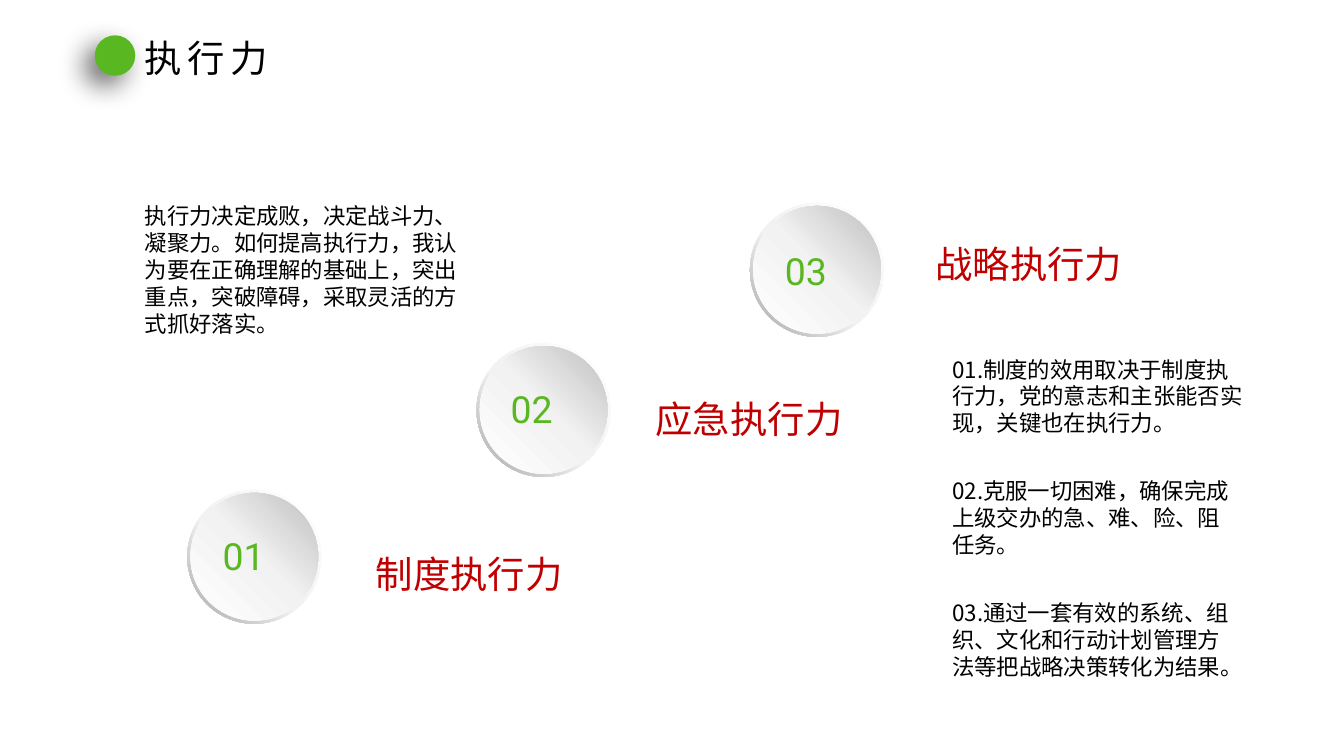
from lxml import etree
from pptx import Presentation
from pptx.dml.color import RGBColor
from pptx.enum.shapes import MSO_SHAPE
from pptx.enum.text import MSO_AUTO_SIZE
from pptx.oxml import parse_xml
from pptx.oxml.ns import nsdecls, qn
from pptx.util import Cm, Pt

COLORS = {"green": "59B721", "red": "C00000", "black": "000000"}
CJK_FONT, NUMBER_FONT = "Noto Sans CJK SC", "Roboto"
RING_STOPS = [(0, "FFFFFF"), (55, "F2F2F2"), (100, "A6A6A6")]
DISC_STOPS = [(0, "FFFFFF"), (51, "F2F2F2"), (100, "BFBFBF")]

TITLE = "执行力"
INTRO = [
    "执行力决定成败，决定战斗力、",
    "凝聚力。如何提高执行力，我认",
    "为要在正确理解的基础上，突出",
    "重点，突破障碍，采取灵活的方",
    "式抓好落实。",
]
# Width in cm, lines
NOTES = [
    (7.92, ["01.制度的效用取决于制度执", "行力，党的意志和主张能否实", "现，关键也在执行力。"]),
    (7.65, ["02.克服一切困难，确保完成", "上级交办的急、难、险、阻", "任务。"]),
    (7.92, ["03.通过一套有效的系统、组", "织、文化和行动计划管理方", "法等把战略决策转化为结果。"]),
]
# Number, label, badge corner in cm, number corner in cm
STEPS = [
    ("01", "制度执行力", (4.72, 12.34), (5.36, 13.31)),
    ("02", "应急执行力", (12.01, 8.64), (12.62, 9.6)),
    ("03", "战略执行力", (18.9, 5.11), (19.53, 6.12)),
]
LABEL_START, LABEL_STEP = (9.22, 13.77), (7.05, -3.91)
NOTE_LEFT, NOTE_TOP, NOTE_STEP, NOTE_HEIGHT = 23.75, 8.84, 3.07, 2.31
BADGE_SIZE, RIM = 3.38, 0.08
HEADING_SIZE, HEADING_HEIGHT = 26.7, 1.4


def add_text(shapes, lines, left, top, width, height, *, size=16,
             color="black", font=CJK_FONT, spacing=0):
    """Put each line in its own paragraph; spacing is letter spacing in points."""
    box = shapes.add_textbox(Cm(left), Cm(top), Cm(width), Cm(height))
    frame = box.text_frame
    frame.word_wrap = False
    frame.auto_size = MSO_AUTO_SIZE.SHAPE_TO_FIT_TEXT
    for index, line in enumerate(lines):
        paragraph = frame.paragraphs[0] if index == 0 else frame.add_paragraph()
        run = paragraph.add_run()
        run.text = line
        run.font.size = Pt(size)
        run.font.name = font
        run.font.color.rgb = RGBColor.from_string(COLORS[color])
        properties = run.font._element
        etree.SubElement(properties, qn("a:ea")).set("typeface", font)
        if spacing:
            properties.set("spc", str(spacing * 100))


def add_round(shapes, kind, left, top, size):
    shape = shapes.add_shape(kind, Cm(left), Cm(top), Cm(size), Cm(size))
    shape.shadow.inherit = False
    shape.line.fill.background()
    return shape


def set_gradient(shape, stops, angle):
    """Fill with (percent, colour) stops; angle is clockwise in degrees."""
    stop_xml = "".join(
        f'<a:gs pos="{percent * 1000}"><a:srgbClr val="{color}"/></a:gs>'
        for percent, color in stops)
    gradient = parse_xml(
        f'<a:gradFill {nsdecls("a")} rotWithShape="1"><a:gsLst>{stop_xml}</a:gsLst>'
        f'<a:lin ang="{angle * 60000}" scaled="0"/></a:gradFill>')
    shape._element.spPr.find(qn("a:prstGeom")).addnext(gradient)


def add_title(shapes):
    dot = add_round(shapes, MSO_SHAPE.OVAL, 2.39, 0.89, 1.02)
    dot.fill.solid()
    dot.fill.fore_color.rgb = RGBColor.from_string(COLORS["green"])
    dot._element.spPr.find(qn("a:effectLst")).append(parse_xml(
        f'<a:outerShdw {nsdecls("a")} blurRad="{Pt(20)}" dist="{Pt(10)}" '
        f'dir="{135 * 60000}" algn="ctr" rotWithShape="0">'
        f'<a:srgbClr val="{COLORS["black"]}"><a:alpha val="60000"/></a:srgbClr>'
        '</a:outerShdw>'))
    add_text(shapes, [TITLE], 3.38, 0.76, 3.78, HEADING_HEIGHT,
             size=HEADING_SIZE, spacing=4)


def add_badge(shapes, number, corner, number_corner):
    left, top = corner
    group = shapes.add_group_shape().shapes
    ring = add_round(group, MSO_SHAPE.DONUT, left, top, BADGE_SIZE)
    ring.adjustments[0] = 0.049
    set_gradient(ring, RING_STOPS, 135)
    disc = add_round(group, MSO_SHAPE.OVAL, left + RIM, top + RIM, BADGE_SIZE - 2 * RIM)
    set_gradient(disc, DISC_STOPS, 315)
    add_text(group, [number], *number_corner, 1.98, HEADING_HEIGHT,
             size=HEADING_SIZE, color="green", font=NUMBER_FONT)


def main():
    presentation = Presentation()
    presentation.slide_width, presentation.slide_height = Cm(33.87), Cm(19.05)
    slide = presentation.slides.add_slide(presentation.slide_layouts[6])
    shapes = slide.shapes
    add_title(shapes)
    add_text(shapes, INTRO, 3.4, 4.98, 8.48, 3.68)
    for index, (width, lines) in enumerate(NOTES):
        add_text(shapes, lines, NOTE_LEFT, NOTE_TOP + index * NOTE_STEP, width, NOTE_HEIGHT)
    for index, (number, label, corner, number_corner) in enumerate(STEPS):
        left, top = (start + index * step for start, step in zip(LABEL_START, LABEL_STEP))
        add_text(shapes, [label], left, top, 5.26, HEADING_HEIGHT,
                 size=HEADING_SIZE, color="red")
        add_badge(shapes, number, corner, number_corner)
    presentation.save("out.pptx")


if __name__ == "__main__":
    main()
